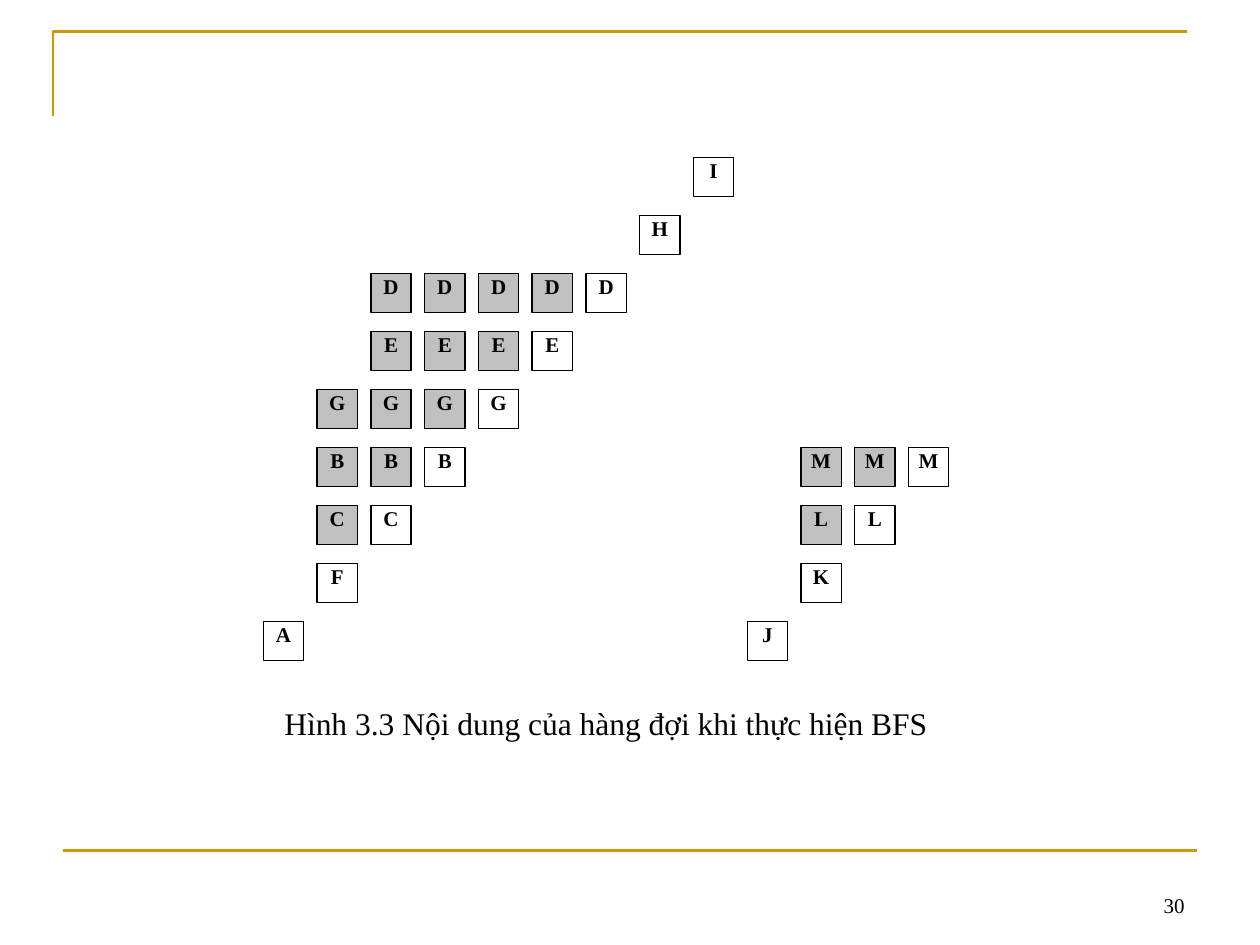
from pptx import Presentation
from pptx.dml.color import RGBColor
from pptx.enum.shapes import MSO_CONNECTOR, MSO_SHAPE
from pptx.enum.text import MSO_ANCHOR, PP_ALIGN
from pptx.oxml.ns import qn
from pptx.util import Inches, Pt
from lxml.etree import SubElement

GOLD = RGBColor(0xCC, 0x99, 0x00)
BLACK = RGBColor(0, 0, 0)
WHITE = RGBColor(0xFF, 0xFF, 0xFF)
GRAY = RGBColor(0xC0, 0xC0, 0xC0)

FONT = "Times New Roman"
LEFT, TOP = 2.09, 1.25
COL_STEP, ROW_STEP = 5.12 / 12, 0.46
CELL_W, CELL_H = 0.32, 0.31

QUEUE_ROWS = [
    ("I", 0, 8, 8),
    ("H", 1, 7, 7),
    ("D", 2, 2, 6),
    ("E", 3, 2, 5),
    ("G", 4, 1, 4),
    ("B", 5, 1, 3),
    ("C", 6, 1, 2),
    ("F", 7, 1, 1),
    ("A", 8, 0, 0),
    ("M", 5, 10, 12),
    ("L", 6, 10, 11),
    ("K", 7, 10, 10),
    ("J", 8, 9, 9),
]


def style_line(shape, color, width):
    shape.line.color.rgb = color
    shape.line.width = Pt(width)


def set_text(tf, text, size, align, bold=False):
    p = tf.paragraphs[0]
    p.text = text
    p.alignment = align
    p.font.name = FONT
    p.font.size = Pt(size)
    p.font.bold = bold
    p.font.color.rgb = BLACK


def add_corner(s):
    builder = s.shapes.build_freeform(Inches(0.42), Inches(0.92))
    builder.add_line_segments(
        [(Inches(0.42), Inches(0.25)), (Inches(9.42), Inches(0.25))], close=False
    )
    sp = builder.convert_to_shape()
    sp.shadow.inherit = False
    sp.fill.background()
    style_line(sp, GOLD, 1.5)


def add_rule(s, left, right, y):
    line = s.shapes.add_connector(
        MSO_CONNECTOR.STRAIGHT, Inches(left), Inches(y), Inches(right), Inches(y)
    )
    style_line(line, GOLD, 1.5)
    SubElement(line._element.spPr, qn("a:effectLst"))


def add_cell(s, letter, row, col, fill):
    sp = s.shapes.add_shape(
        MSO_SHAPE.RECTANGLE,
        Inches(LEFT + col * COL_STEP),
        Inches(TOP + row * ROW_STEP),
        Inches(CELL_W),
        Inches(CELL_H),
    )
    sp.shadow.inherit = False
    sp.fill.solid()
    sp.fill.fore_color.rgb = fill
    style_line(sp, BLACK, 0.75)
    tf = sp.text_frame
    tf.margin_left = tf.margin_right = tf.margin_top = tf.margin_bottom = 0
    tf.vertical_anchor = MSO_ANCHOR.TOP
    set_text(tf, letter, 12, PP_ALIGN.CENTER, bold=True)


def add_queue_row(s, letter, row, first, last):
    for col in range(first, last + 1):
        add_cell(s, letter, row, col, WHITE if col == last else GRAY)


def add_text(s, text, box, size, align, anchor):
    tf = s.shapes.add_textbox(*map(Inches, box)).text_frame
    tf.word_wrap = True
    tf.vertical_anchor = anchor
    set_text(tf, text, size, align)


def main():
    prs = Presentation()
    prs.slide_width, prs.slide_height = Inches(10), Inches(7.5)
    s = prs.slides.add_slide(prs.slide_layouts[6])
    add_corner(s)
    add_rule(s, 0.5, 9.5, 6.75)
    for queue_row in QUEUE_ROWS:
        add_queue_row(s, *queue_row)
    add_text(s, "Hình 3.3 Nội dung của hàng đợi khi thực hiện BFS",
             (1.45, 5.54, 6.72, 0.46), 18, PP_ALIGN.CENTER, MSO_ANCHOR.TOP)
    add_text(s, "30", (7.17, 6.83, 2.33, 0.5), 12, PP_ALIGN.RIGHT, MSO_ANCHOR.BOTTOM)
    prs.save("out.pptx")


if __name__ == "__main__":
    main()
